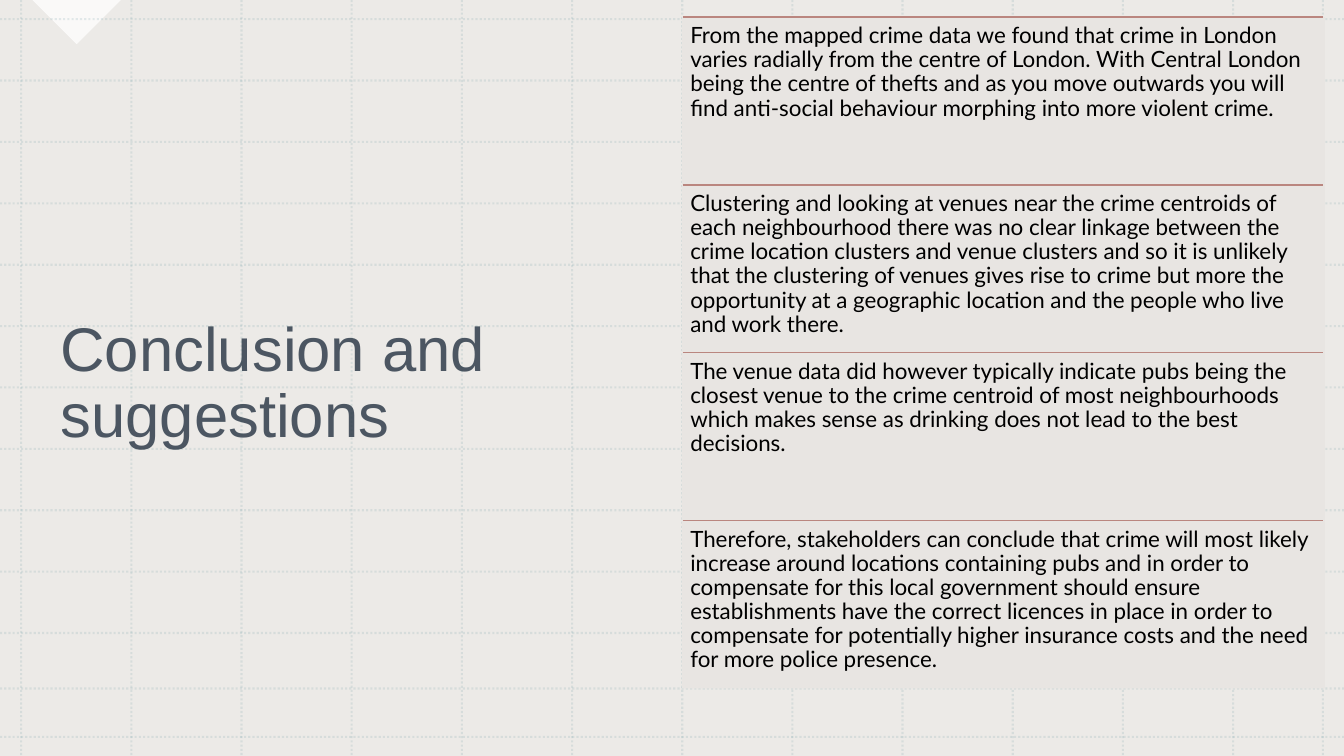
from lxml.etree import SubElement as Sub
from pptx import Presentation
from pptx.dml.color import RGBColor as Rgb
from pptx.enum.dml import MSO_LINE as Dash
from pptx.enum.shapes import MSO_CONNECTOR as Conn, MSO_SHAPE as Shape
from pptx.enum.text import MSO_ANCHOR as Anchor, PP_ALIGN as Align
from pptx.oxml.ns import qn
from pptx.util import Inches as In, Pt

WIDE, HIGH = 13.33, 7.5
COLS, ROWS = 11, 10
LEFT, TOP = 0.21, 0.19
COL, ROW = (12.23 - LEFT) / COLS, (6.28 - TOP) / ROWS
RIGHT, BASE, FOOT = 13.12, 6.83, 7.31
HUES = {"white": "FFFFFF", "sand": "E8E5E2", "grid": "80A8AE",
        "rule": "BA867F", "title": "243241", "text": "000000"}
POINTS = [
    "From the mapped crime data we found that crime in London varies radially "
    "from the centre of London. With Central London being the centre of thefts "
    "and as you move outwards you will find anti-social behaviour morphing into "
    "more violent crime.",
    "Clustering and looking at venues near the crime centroids of each "
    "neighbourhood there was no clear linkage between the crime location clusters "
    "and venue clusters and so it is unlikely that the clustering of venues gives "
    "rise to crime but more the opportunity at a geographic location and the "
    "people who live and work there.",
    "The venue data did however typically indicate pubs being the closest venue "
    "to the crime centroid of most neighbourhoods which makes sense as drinking "
    "does not lead to the best decisions.",
    "Therefore, stakeholders can conclude that crime will most likely increase "
    "around locations containing pubs and in order to compensate for this local "
    "government should ensure establishments have the correct licences in place "
    "in order to compensate for potentially higher insurance costs and the need "
    "for more police presence.",
]


def col(n):
    return LEFT + n * COL


def row(n):
    return TOP + n * ROW


def tint(fill, hue, alpha=100):
    fill.solid()
    fill.fore_color.rgb = Rgb.from_string(HUES[hue])
    if alpha < 100:
        node = next(fill._xPr.iter(qn("a:srgbClr")))
        Sub(node, qn("a:alpha"), val=str(alpha * 1000))


def block(shapes, kind, box, hue, alpha=100, turn=0):
    shape = shapes.add_shape(kind, *map(In, box))
    shape.shadow.inherit = False
    shape.rotation = turn
    tint(shape.fill, hue, alpha)
    shape.line.fill.background()


def rule(shapes, start, end, hue, width, alpha=100, dash=None):
    line = shapes.add_connector(Conn.STRAIGHT, *map(In, start + end))
    tint(line.line.fill, hue, alpha)
    line.line.width = Pt(width)
    if dash:
        line.line.dash_style = dash
    Sub(line._element.spPr, qn("a:effectLst"))


def write(frame, text, font, size, hue, alpha=100):
    frame.word_wrap = True
    para = frame.paragraphs[0]
    para.alignment = Align.LEFT
    para.line_spacing = 0.9
    run = para.add_run()
    run.text = text
    run.font.name = font
    run.font.size = Pt(size)
    tint(run.font.fill, hue, alpha)


def grid(slide):
    shapes = slide.shapes.add_group_shape().shapes
    look = ("grid", 1.5, 20, Dash.ROUND_DOT)
    for x in [col(n) for n in range(COLS + 1)] + [RIGHT]:
        rule(shapes, (x, 0), (x, HIGH), *look)
    for y in [row(n) for n in range(ROWS + 1)] + [BASE, FOOT]:
        rule(shapes, (0, y), (WIDE, y), *look)


def head(slide):
    title = slide.shapes.title
    slide.shapes._spTree.append(title._element)
    title.left, title.top = In(0.5), In(0.79)
    title.width, title.height = In(6.07), In(6.05)
    title.text_frame.vertical_anchor = Anchor.MIDDLE
    write(title.text_frame, "Conclusion and suggestions", "Arial", 44, "title", 80)


def points(slide):
    left, top = col(6), 0.17
    wide, step = RIGHT - left, (BASE - top) / len(POINTS)
    block(slide.shapes, Shape.RECTANGLE, (left, top, wide + 0.02, BASE - top), "sand")
    shapes = slide.shapes.add_group_shape().shapes
    for n, text in enumerate(POINTS):
        y = top + n * step
        rule(shapes, (left + 0.01, y), (RIGHT, y), "rule", 1)
        box = shapes.add_textbox(*map(In, (left + 0.01, y, wide - 0.01, step)))
        frame = box.text_frame
        frame.margin_left = frame.margin_right = In(0.07)
        frame.margin_top = frame.margin_bottom = In(0.07)
        write(frame, text, "Lato", 16, "text")


def main():
    deck = Presentation()
    deck.slide_width, deck.slide_height = In(WIDE), In(HIGH)
    slide = deck.slides.add_slide(deck.slide_layouts[5])
    tint(slide.background.fill, "white")
    block(slide.shapes, Shape.RECTANGLE, (0, 0, WIDE, HIGH), "sand", 80)
    block(slide.shapes, Shape.RIGHT_TRIANGLE, (0.45, -0.31, 0.62, 0.62),
          "white", 75, 315)
    grid(slide)
    head(slide)
    points(slide)
    deck.save("out.pptx")


if __name__ == "__main__":
    main()
